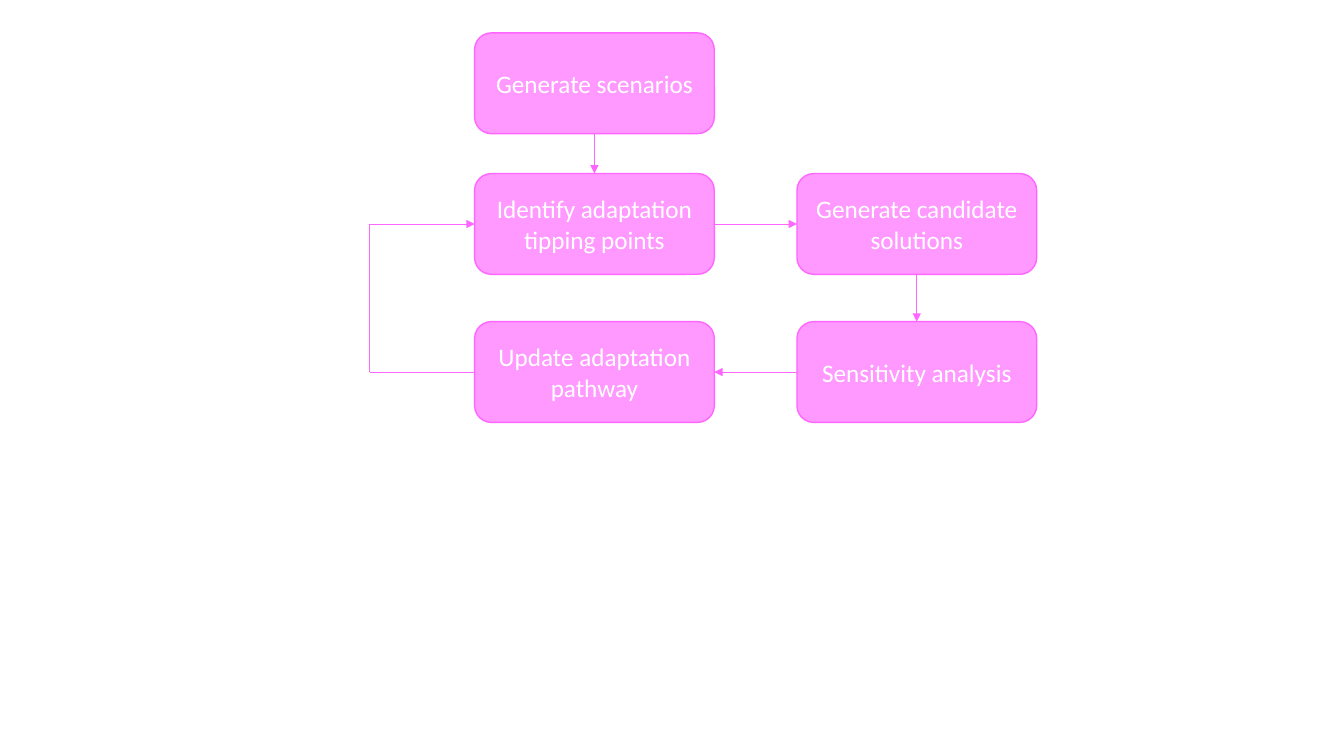
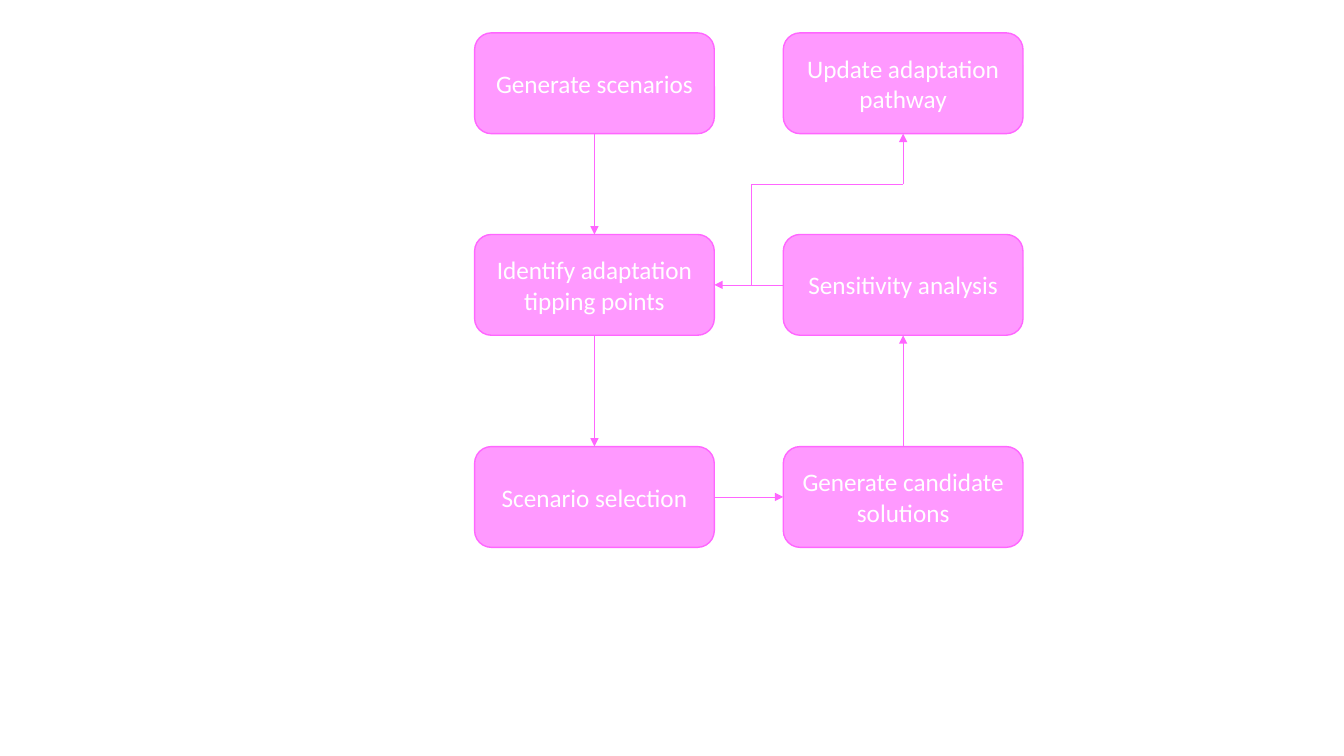
from dataclasses import dataclass
from itertools import pairwise
from lxml.etree import SubElement
from pptx import Presentation
from pptx.dml.color import RGBColor
from pptx.enum.shapes import MSO_CONNECTOR, MSO_SHAPE
from pptx.enum.text import MSO_ANCHOR, PP_ALIGN
from pptx.oxml.ns import qn
from pptx.util import Pt

SCENARIOS = "Generate scenarios"
TIPPING = "Identify adaptation tipping points"
CANDIDATES = "Generate candidate solutions"
SENSITIVITY = "Sensitivity analysis"
PATHWAY = "Update adaptation pathway"
SELECTION = "Scenario selection"

TOP, LEFT, BOTTOM, RIGHT = range(4)

FLOWS = [
    {
        "columns": (339, 569.25),
        "rows": (23.5, 124, 229.75),
        "steps": {
            SCENARIOS: (0, 0),
            TIPPING: (0, 1),
            CANDIDATES: (1, 1),
            SENSITIVITY: (1, 2),
            PATHWAY: (0, 2),
        },
        "routes": [
            [(SCENARIOS, BOTTOM), (TIPPING, TOP)],
            [(TIPPING, RIGHT), (CANDIDATES, LEFT)],
            [(CANDIDATES, BOTTOM), (SENSITIVITY, TOP)],
            [(SENSITIVITY, LEFT), (PATHWAY, RIGHT)],
            [(PATHWAY, LEFT), (PATHWAY, LEFT, -75, 0), (TIPPING, LEFT, -75, 0), (TIPPING, LEFT)],
        ],
    },
    {
        "columns": (339, 559.5),
        "rows": (23.5, 167.5, 319),
        "steps": {
            SCENARIOS: (0, 0),
            TIPPING: (0, 1),
            CANDIDATES: (1, 2),
            SENSITIVITY: (1, 1),
            PATHWAY: (1, 0),
            SELECTION: (0, 2),
        },
        "routes": [
            [(SCENARIOS, BOTTOM), (TIPPING, TOP)],
            [(TIPPING, BOTTOM), (SELECTION, TOP)],
            [(SELECTION, RIGHT), (CANDIDATES, LEFT)],
            [(CANDIDATES, TOP), (SENSITIVITY, BOTTOM)],
            [(SENSITIVITY, LEFT), (TIPPING, RIGHT)],
            [(SENSITIVITY, LEFT, -23, 0), (SENSITIVITY, LEFT, -23, -72), (PATHWAY, BOTTOM, 0, 36), (PATHWAY, BOTTOM)],
        ],
    },
]


@dataclass(frozen=True)
class Theme:
    fill: RGBColor = RGBColor(0xFF, 0x99, 0xFF)
    line: RGBColor = RGBColor(0xFF, 0x66, 0xFF)
    text: RGBColor = RGBColor(0xFF, 0xFF, 0xFF)
    font: str = "Calibri"
    size: float = 18
    border: float = 1
    stroke: float = 0.5
    box_w: float = 171.25
    box_h: float = 72


theme = Theme()


def add_step(s, text, x, y):
    sp = s.shapes.add_shape(MSO_SHAPE.ROUNDED_RECTANGLE, Pt(x), Pt(y), Pt(theme.box_w), Pt(theme.box_h))
    sp.shadow.inherit = False
    sp.fill.solid()
    sp.fill.fore_color.rgb = theme.fill
    sp.line.color.rgb = theme.line
    sp.line.width = Pt(theme.border)
    tf = sp.text_frame
    tf.word_wrap = True
    tf.vertical_anchor = MSO_ANCHOR.MIDDLE
    p = tf.paragraphs[0]
    p.alignment = PP_ALIGN.CENTER
    r = p.add_run()
    r.text = text
    r.font.name = theme.font
    r.font.size = Pt(theme.size)
    r.font.color.rgb = theme.text
    return sp


def locate(boxes, step, side, dx=0, dy=0):
    sp = boxes[step]
    fx, fy = {TOP: (0.5, 0), LEFT: (0, 0.5), BOTTOM: (0.5, 1), RIGHT: (1, 0.5)}[side]
    return int(sp.left + fx * sp.width + Pt(dx)), int(sp.top + fy * sp.height + Pt(dy))


def add_route(s, boxes, stops):
    for start, end in pairwise(stops):
        cx = s.shapes.add_connector(MSO_CONNECTOR.STRAIGHT, *locate(boxes, *start), *locate(boxes, *end))
        if len(start) == 2:
            cx.begin_connect(boxes[start[0]], start[1])
        if len(end) == 2:
            cx.end_connect(boxes[end[0]], end[1])
        cx.line.color.rgb = theme.line
        cx.line.width = Pt(theme.stroke)
        props = cx._element.spPr
        if end is stops[-1]:
            SubElement(props.find(qn("a:ln")), qn("a:tailEnd"), type="triangle")
        SubElement(props, qn("a:effectLst"))


def add_flow(prs, flow):
    s = prs.slides.add_slide(prs.slide_layouts[6])
    boxes = {
        step: add_step(s, step, flow["columns"][col], flow["rows"][row])
        for step, (col, row) in flow["steps"].items()
    }
    for stops in flow["routes"]:
        add_route(s, boxes, stops)


prs = Presentation()
prs.slide_width, prs.slide_height = Pt(960), Pt(540)
for flow in FLOWS:
    add_flow(prs, flow)
prs.save("out.pptx")
